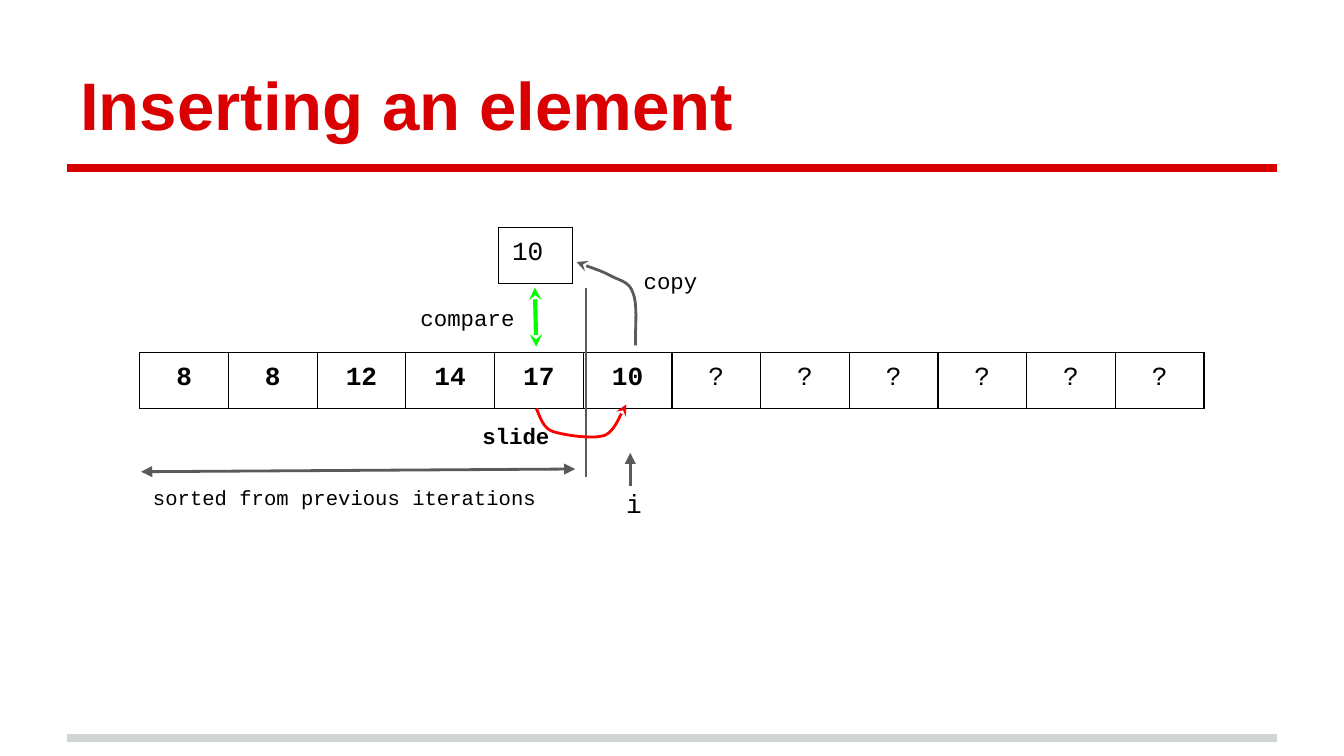
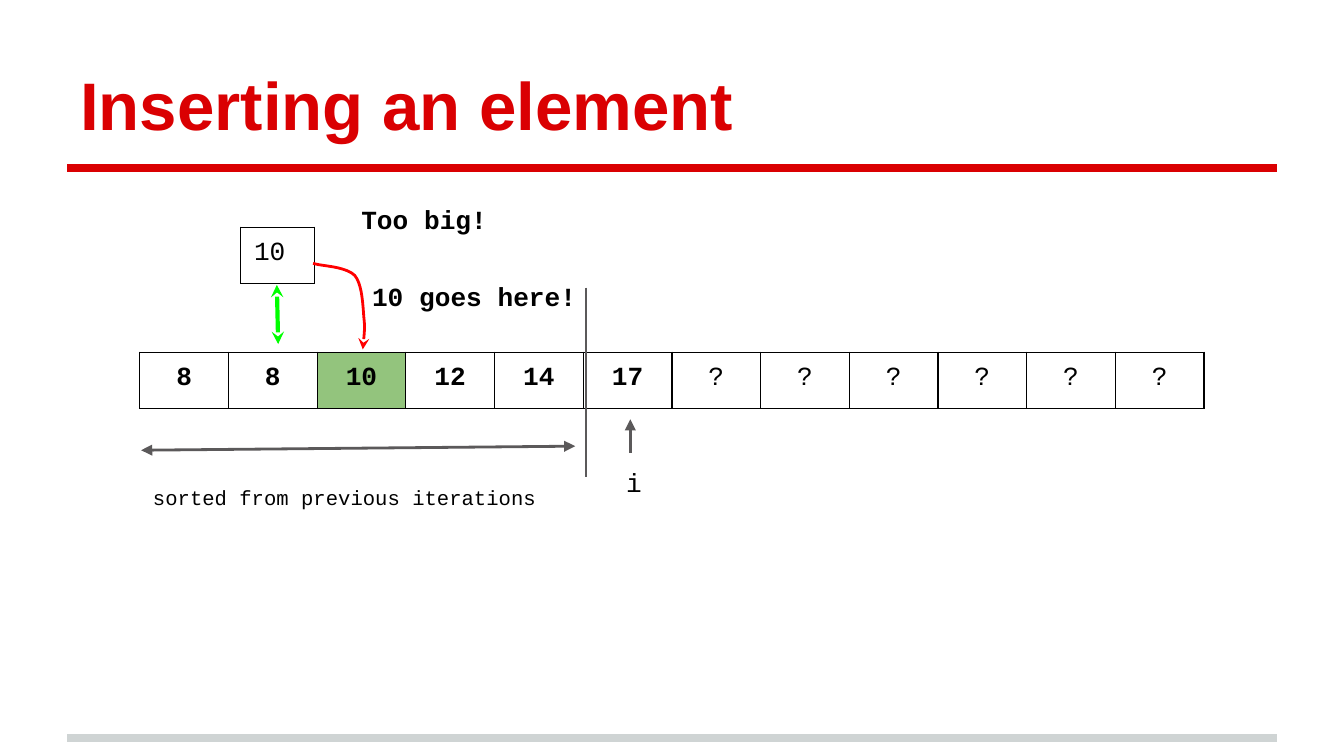
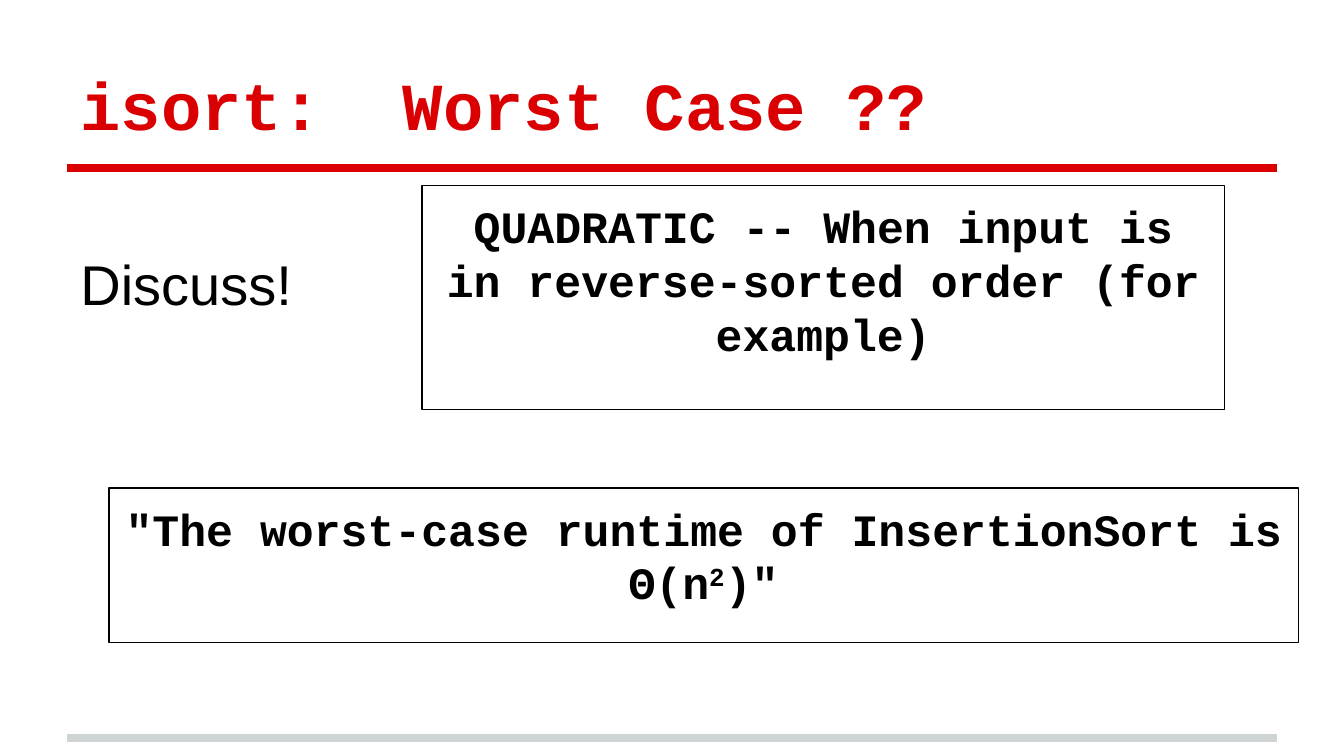
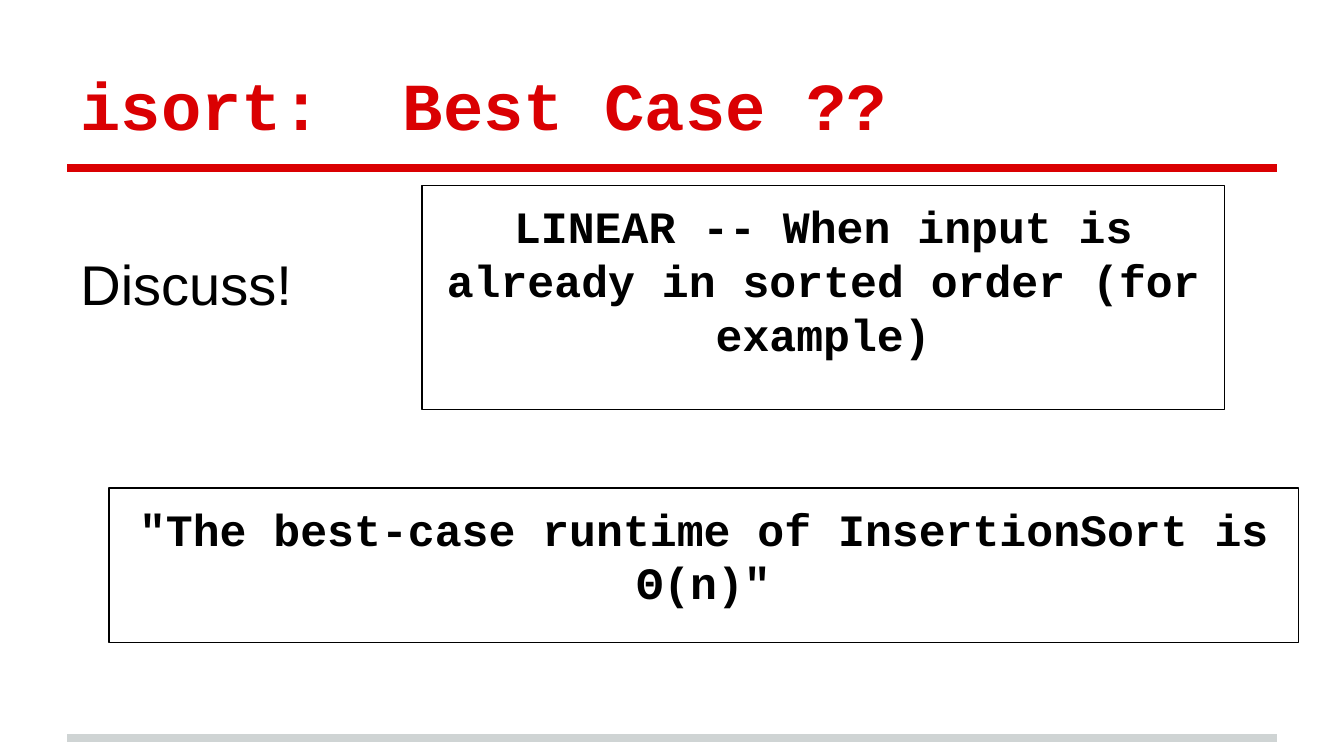
"""Build four slides that explain insertion sort."""
import dataclasses
import typing

import lxml.etree
import pptx
import pptx.dml.color
import pptx.enum.shapes
import pptx.enum.text
import pptx.oxml.ns
import pptx.util

Inches = pptx.util.Inches
Pt = pptx.util.Pt
Align = pptx.enum.text.PP_ALIGN
Anchor = pptx.enum.text.MSO_ANCHOR
Kind = pptx.enum.shapes.MSO_SHAPE
qn = pptx.oxml.ns.qn

COLORS = {
    "red": "DA0002",
    "pale": "CFD4D4",
    "ink": "000000",
    "gray": "5B595A",
    "lime": "00FF00",
    "hot": "FF0000",
    "green": "93C47D",
}
SANS = "Arial"
MONO = "Courier New"
PAD = 0.1
CELL_PAD = 0.09
CELL_W = 0.66
CELL_H = 0.42
STEPS = 10

Point = tuple[float, float]


@dataclasses.dataclass(frozen=True)
class Font:
    size: float
    name: str = MONO
    bold: bool = False
    color: str = "ink"


@dataclasses.dataclass(frozen=True)
class Label:
    text: str
    left: float
    top: float
    width: float
    font: Font
    height: float = 0.5


@dataclasses.dataclass(frozen=True)
class Line:
    start: Point
    end: Point
    color: str = "gray"
    width: float = 1.5
    head: str = ""
    tail: str = ""


@dataclasses.dataclass(frozen=True)
class Curve:
    start: Point
    bends: tuple[tuple[Point, Point, Point], ...]
    color: str


@dataclasses.dataclass(frozen=True)
class Step:
    values: tuple[str, ...]
    mark: int
    key_left: float
    span: Line
    index_top: float
    pointer: Line
    check: Line
    move: tuple[Curve, ...]
    notes: tuple[Label, ...]


@dataclasses.dataclass(frozen=True)
class Case:
    title: str
    answer: str
    claim: tuple[str, ...]


PLAIN = Font(14)
BOLD = Font(14, bold=True)
SMALL = Font(12)
STRONG = Font(24, bold=True)
RULES = (
    Line((0.5, 5.49), (9.5, 5.49), "pale", 4),
    Line((0.5, 1.25), (9.5, 1.25), "red", 4),
)
WALL = Line((4.36, 2.14), (4.36, 3.55))
UNSEEN = ("?",) * 6

STEPS_SHOWN = (
    Step(
        values=("8", "8", "12", "14", "17", "10") + UNSEEN,
        mark=-1,
        key_left=3.71,
        span=Line((1.05, 3.51), (4.28, 3.49), head="triangle", tail="triangle"),
        index_top=3.53,
        pointer=Line((4.69, 3.62), (4.69, 3.37), tail="triangle"),
        check=Line((3.98, 2.14), (3.99, 2.58), "lime", 2.25, "stealth", "stealth"),
        move=(
            Curve((4.73, 2.57), (
                ((4.72, 2.51), (4.75, 2.27), (4.71, 2.18)),
                ((4.68, 2.09), (4.61, 2.09), (4.54, 2.05)),
                ((4.47, 2.01), (4.33, 1.97), (4.29, 1.95)),
            ), "gray"),
            Curve((3.99, 3.04), (
                ((4.01, 3.07), (4.03, 3.18), (4.11, 3.21)),
                ((4.2, 3.24), (4.41, 3.27), (4.5, 3.24)),
                ((4.59, 3.2), (4.63, 3.04), (4.66, 3.01)),
            ), "hot"),
        ),
        notes=(
            Label("copy", 4.69, 1.89, 0.68, SMALL),
            Label("compare", 3.03, 2.16, 0.92, SMALL),
            Label("slide", 3.49, 3.04, 0.94, Font(12, bold=True)),
        ),
    ),
    Step(
        values=("8", "8", "10", "12", "14", "17") + UNSEEN,
        mark=2,
        key_left=1.79,
        span=Line((1.05, 3.35), (4.28, 3.32), head="triangle", tail="triangle"),
        index_top=3.37,
        pointer=Line((4.69, 3.37), (4.69, 3.12), tail="triangle"),
        check=Line((2.06, 2.12), (2.07, 2.56), "lime", 2.25, "stealth", "stealth"),
        move=(
            Curve((2.33, 1.96), (
                ((2.38, 1.98), (2.57, 1.98), (2.64, 2.05)),
                ((2.7, 2.12), (2.7, 2.29), (2.71, 2.38)),
                ((2.72, 2.47), (2.7, 2.56), (2.7, 2.6)),
            ), "hot"),
        ),
        notes=(
            Label("Too big!", 2.59, 1.41, 4, BOLD),
            Label("10 goes here!", 2.67, 1.99, 4, BOLD),
        ),
    ),
)

CASES = (
    Case(
        "isort:\tWorst Case ??",
        "QUADRATIC -- When input is in reverse-sorted order (for example)",
        ('"The worst-case runtime of InsertionSort is Θ(n', "2", ')"'),
    ),
    Case(
        "isort:\tBest Case ??",
        "LINEAR -- When input is already in sorted order (for example)",
        ('"The best-case runtime of InsertionSort is Θ(n)"',),
    ),
)


def tint(name: str) -> pptx.dml.color.RGBColor:
    return pptx.dml.color.RGBColor.from_string(COLORS[name])


def style(para: typing.Any, font: Font) -> None:
    for run in para.runs:
        run.font.name = font.name
        run.font.size = Pt(font.size)
        run.font.bold = font.bold
        run.font.color.rgb = tint(font.color)


def inset(item: typing.Any, edge: float = PAD) -> None:
    item.margin_left = item.margin_right = Inches(PAD)
    item.margin_top = item.margin_bottom = Inches(edge)


def add_label(slide: typing.Any, label: Label) -> typing.Any:
    box = slide.shapes.add_textbox(
        Inches(label.left), Inches(label.top), Inches(label.width), Inches(label.height))
    frame = box.text_frame
    frame.word_wrap = True
    inset(frame)
    frame.text = label.text
    style(frame.paragraphs[0], label.font)
    return frame


def add_ends(item: typing.Any, head: str, tail: str) -> None:
    stroke = item.line._get_or_add_ln()
    for tag, kind in (("a:headEnd", head), ("a:tailEnd", tail)):
        if kind:
            lxml.etree.SubElement(stroke, qn(tag), type=kind)


def add_line(slide: typing.Any, line: Line) -> None:
    link = slide.shapes.add_connector(
        pptx.enum.shapes.MSO_CONNECTOR.STRAIGHT,
        *(Inches(value) for value in line.start + line.end))
    link.line.color.rgb = tint(line.color)
    link.line.width = Pt(line.width)
    add_ends(link, line.head, line.tail)
    lxml.etree.SubElement(link._element.spPr, qn("a:effectLst"))


def trace(curve: Curve) -> list[Point]:
    points = []
    start = curve.start
    for one, two, end in curve.bends:
        for count in range(1, STEPS + 1):
            t = count / STEPS
            u = 1 - t
            points.append(tuple(
                Inches(u**3 * a + 3 * u * u * t * b + 3 * u * t * t * c + t**3 * d)
                for a, b, c, d in zip(start, one, two, end)))
        start = end
    return points


def add_curve(slide: typing.Any, curve: Curve) -> None:
    x, y = curve.start
    pen = slide.shapes.build_freeform(Inches(x), Inches(y))
    pen.add_line_segments(trace(curve), close=False)
    shape = pen.convert_to_shape()
    shape.shadow.inherit = False
    shape.fill.background()
    shape.line.color.rgb = tint(curve.color)
    shape.line.width = Pt(1.5)
    add_ends(shape, "", "stealth")


def add_edges(cell: typing.Any) -> None:
    props = cell._tc.get_or_add_tcPr()
    for place, side in enumerate("LRTB"):
        edge = lxml.etree.Element(qn(f"a:ln{side}"), w=str(Pt(0.75)))
        fill = lxml.etree.SubElement(edge, qn("a:solidFill"))
        lxml.etree.SubElement(fill, qn("a:srgbClr"), val=COLORS["ink"])
        props.insert(place, edge)


def add_row(slide: typing.Any, values: tuple[str, ...], left: float, top: float,
            width: float, align: Align, sorted_count: int = 0, mark: int = -1) -> None:
    frame = slide.shapes.add_table(
        1, len(values), Inches(left), Inches(top),
        Inches(width * len(values)), Inches(CELL_H))
    table = frame.table
    table.first_row = table.horz_banding = False
    for place, value in enumerate(values):
        table.columns[place].width = Inches(width)
        cell = table.cell(0, place)
        inset(cell, CELL_PAD)
        cell.text_frame.text = value
        para = cell.text_frame.paragraphs[0]
        para.alignment = align
        style(para, BOLD if place < sorted_count else PLAIN)
        if place == mark:
            cell.fill.solid()
            cell.fill.fore_color.rgb = tint("green")
        else:
            cell.fill.background()
        add_edges(cell)


def add_panel(slide: typing.Any, parts: tuple[str, ...], left: float, top: float,
              width: float, height: float) -> None:
    shape = slide.shapes.add_shape(
        Kind.RECTANGLE, Inches(left), Inches(top), Inches(width), Inches(height))
    shape.shadow.inherit = False
    shape.fill.background()
    shape.line.color.rgb = tint("ink")
    shape.line.width = Pt(0.75)
    frame = shape.text_frame
    frame.word_wrap = True
    frame.vertical_anchor = Anchor.TOP
    inset(frame)
    para = frame.paragraphs[0]
    para.alignment = Align.CENTER
    for part in parts:
        para.add_run().text = part
    style(para, STRONG)
    for power in para.runs[1:2]:
        power._r.get_or_add_rPr().set("baseline", "30000")


def add_slide(deck: typing.Any, title: str, face: str) -> typing.Any:
    slide = deck.slides.add_slide(deck.slide_layouts[6])
    for rule in RULES:
        add_line(slide, rule)
    frame = add_label(
        slide, Label(title, 0.5, 0.23, 9, Font(36, face, True, "red"), 0.94))
    frame.vertical_anchor = Anchor.BOTTOM
    if "\t" in title:
        props = frame.paragraphs[0]._p.get_or_add_pPr()
        stops = lxml.etree.SubElement(props, qn("a:tabLst"))
        lxml.etree.SubElement(stops, qn("a:tab"), pos=str(Inches(2.4)), algn="l")
    return slide


def add_step(deck: typing.Any, step: Step) -> None:
    slide = add_slide(deck, "Inserting an element", SANS)
    add_row(slide, step.values, 1.04, 2.62, CELL_W, Align.CENTER, 6, step.mark)
    add_label(slide, Label("i", 4.56, step.index_top, 0.27, PLAIN))
    add_line(slide, WALL)
    add_line(slide, step.span)
    add_label(slide, Label("sorted from previous iterations", 1.04, 3.52, 3.14, Font(11)))
    add_line(slide, step.pointer)
    add_row(slide, ("10",), step.key_left, 1.69, 0.55, Align.LEFT)
    add_line(slide, step.check)
    for curve in step.move:
        add_curve(slide, curve)
    for note in step.notes:
        add_label(slide, note)


def add_case(deck: typing.Any, case: Case) -> None:
    slide = add_slide(deck, case.title, MONO)
    body = add_label(slide, Label("Discuss!", 0.5, 1.31, 9, Font(30, SANS), 4.07))
    body.margin_top = Inches(0.69)
    add_panel(slide, (case.answer,), 3.14, 1.38, 5.97, 1.67)
    add_panel(slide, case.claim, 0.81, 3.63, 8.85, 1.15)


def main() -> None:
    deck = pptx.Presentation()
    deck.slide_width = Inches(10)
    deck.slide_height = Inches(10 * 9 / 16)
    for step in STEPS_SHOWN:
        add_step(deck, step)
    for case in CASES:
        add_case(deck, case)
    deck.save("out.pptx")


if __name__ == "__main__":
    main()
